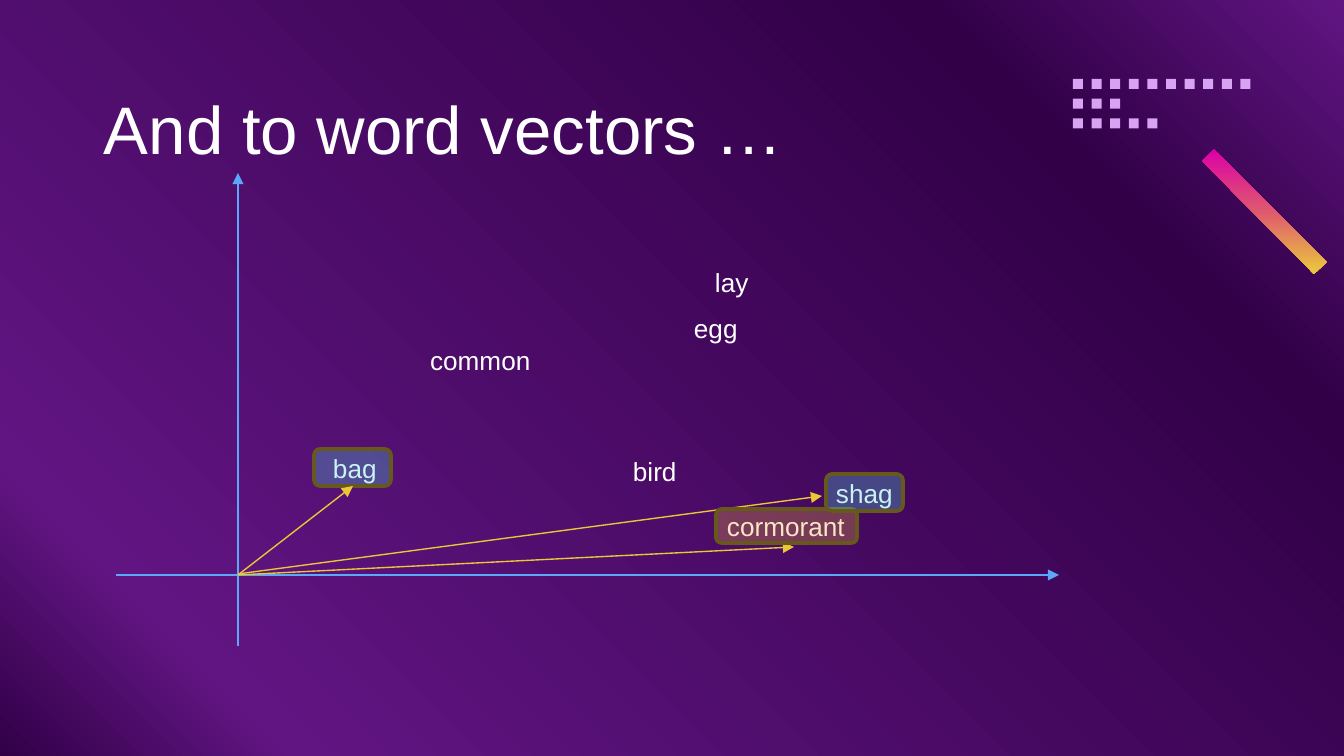
from lxml import etree
from pptx import Presentation
from pptx.dml.color import RGBColor
from pptx.enum.dml import MSO_FILL
from pptx.enum.shapes import MSO_CONNECTOR, MSO_SHAPE
from pptx.enum.text import MSO_ANCHOR
from pptx.oxml.ns import qn
from pptx.util import Pt

PX = 914400 / 134.4
STRAIGHT = MSO_CONNECTOR.STRAIGHT
RECT, ROUND_RECT = MSO_SHAPE.RECTANGLE, MSO_SHAPE.ROUNDED_RECTANGLE
TOP = MSO_ANCHOR.TOP
FONT, WHITE = "Arial", "FFFFFF"
AXIS, VECTOR, DOT, OUTLINE = "5BA7FA", "E9C737", "D9A3F3", "67581B"

BACKGROUND = [(0, "310047"), (14, "611582"), (80, "310047"), (100, "611582")]
BAR = [(0, "DB00A6"), (50, "DF596E"), (100, "EAC93D")]
BAR_POINTS = [(1202, 161), (1214, 149), (1327, 262), (1314, 274)]

TITLE = "And to word vectors …"
DOT_ROWS = [10, 3, 5]
DOT_LEFT, DOT_TOP, DOT_SIZE, DOT_STEP_X, DOT_STEP_Y = 1073, 79, 10, 18.6, 19.7

# word, left, top, width
WORDS = [
    ("common", 417, 337, 132),
    ("cormorant", 714, 503, 160),
    ("shag", 823, 470, 91),
    ("bird", 620, 448, 82),
    ("egg", 681, 305, 82),
    ("bag", 320, 445, 82),
    ("lay", 702, 259, 82),
]
WORD_HEIGHT = 46

# start, end, colour
ARROWS = [
    ((238, 646), (238, 173), AXIS),
    ((116, 575), (1059, 575), AXIS),
    ((238, 575), (794, 547), VECTOR),
    ((238, 574), (822, 496), VECTOR),
]
BAG_ARROW = ((238, 575), (353, 486), VECTOR)

# left, top, width, height, fill
HIGHLIGHTS = [
    (716, 509, 141, 34, "EBAD3D"),
    (826, 474, 77, 37, "4CD9DC"),
    (314, 449, 77, 37, "4CD9DC"),
]


def px(*values):
    return [round(v * PX) for v in values]


def rgb(value):
    return RGBColor.from_string(value)


def set_gradient(fill, element, stops, angle):
    """Fill with any number of stops; angle runs counter-clockwise."""
    fill.gradient()
    fill.gradient_angle = angle
    gs_list = next(element.iter(qn("a:gsLst")))
    for gs in list(gs_list):
        gs_list.remove(gs)
    for position, colour in stops:
        gs = etree.SubElement(gs_list, qn("a:gs"), pos=str(position * 1000))
        etree.SubElement(gs, qn("a:srgbClr"), val=colour)


def add_text(s, text, box, size, top_inset):
    tf = s.shapes.add_textbox(*px(*box)).text_frame
    left, top, side, bottom = px(13, top_inset, 13, 7)
    frame = {"word_wrap": True, "vertical_anchor": TOP, "margin_left": left,
             "margin_top": top, "margin_right": side, "margin_bottom": bottom}
    for name, value in frame.items():
        setattr(tf, name, value)
    r = tf.paragraphs[0].add_run()
    r.text = text
    for name, value in {"name": FONT, "size": Pt(size)}.items():
        setattr(r.font, name, value)
    r.font.color.rgb = rgb(WHITE)


def add_solid(s, kind, box, colour):
    sp = s.shapes.add_shape(kind, *px(*box))
    sp.shadow.inherit = False
    sp.fill.solid()
    sp.fill.fore_color.rgb = rgb(colour)
    sp.line.fill.background()
    return sp


def add_arrow(s, start, end, colour):
    line = s.shapes.add_connector(STRAIGHT, *px(*start, *end))
    line.line.color.rgb = rgb(colour)
    line.line.width = Pt(0.75)
    ln = line.element.spPr.find(qn("a:ln"))
    etree.SubElement(ln, qn("a:tailEnd"), type="triangle")
    etree.SubElement(line.element.spPr, qn("a:effectLst"))


def add_bar(s):
    builder = s.shapes.build_freeform(*BAR_POINTS[0], scale=PX)
    builder.add_line_segments(BAR_POINTS[1:], close=True)
    sp = builder.convert_to_shape()
    sp.shadow.inherit = False
    sp.line.fill.background()
    set_gradient(sp.fill, sp.element, BAR, 270)


def add_dots(s):
    for row, count in enumerate(DOT_ROWS):
        for column in range(count):
            box = (DOT_LEFT + column * DOT_STEP_X, DOT_TOP + row * DOT_STEP_Y,
                   DOT_SIZE, DOT_SIZE)
            add_solid(s, RECT, box, DOT)


def add_highlight(s, *box, colour):
    sp = add_solid(s, ROUND_RECT, box, colour)
    clr = next(sp.element.spPr.iter(qn("a:srgbClr")))
    etree.SubElement(clr, qn("a:alpha"), val="30000")
    sp.line.color.rgb = rgb(OUTLINE)
    sp.line.width = Pt(2)


def main():
    prs = Presentation()
    prs.slide_width, prs.slide_height = px(1344, 756)
    s = prs.slides.add_slide(prs.slide_layouts[6])
    set_gradient(s.background.fill, s.element, BACKGROUND, 45)
    add_bar(s)
    add_text(s, TITLE, (91, 66, 1161, 85), 36, 21)
    add_dots(s)
    for word, left, top, width in WORDS:
        add_text(s, word, (left, top, width, WORD_HEIGHT), 14, 7)
    for arrow in ARROWS:
        add_arrow(s, *arrow)
    for *box, colour in HIGHLIGHTS:
        add_highlight(s, *box, colour=colour)
    add_arrow(s, *BAG_ARROW)
    prs.save("out.pptx")


if __name__ == "__main__":
    main()
